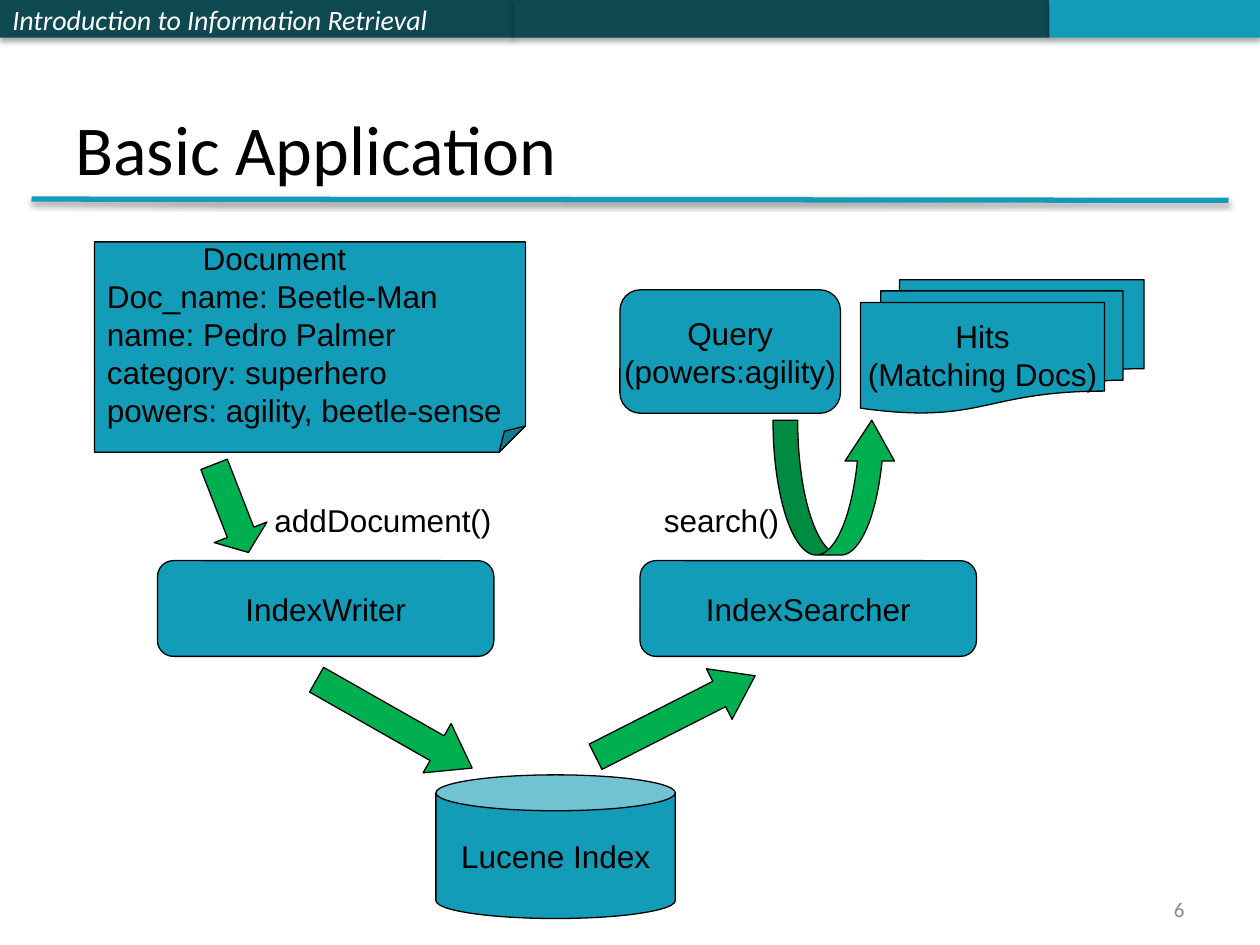
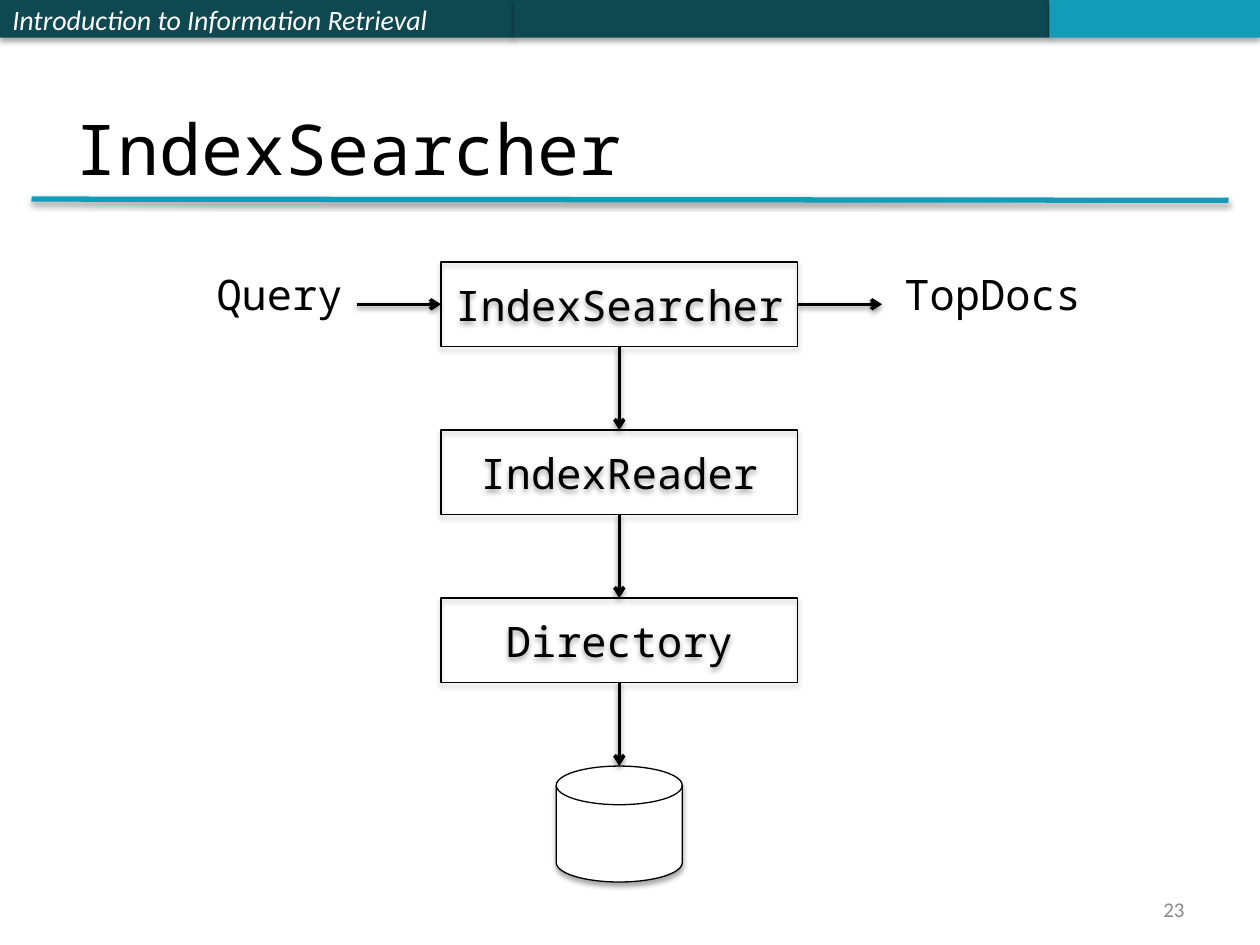
from dataclasses import dataclass
from typing import Optional

from lxml.etree import SubElement
from pptx import Presentation
from pptx.dml.color import RGBColor
from pptx.enum.shapes import MSO_CONNECTOR, MSO_SHAPE
from pptx.enum.text import MSO_ANCHOR, MSO_AUTO_SIZE, PP_ALIGN
from pptx.oxml.ns import qn
from pptx.util import Inches, Pt


@dataclass(frozen=True)
class TextStyle:
    """Font, size and colour of one kind of text."""
    font: str
    size: float
    color: str = "000000"
    italic: bool = False


@dataclass(frozen=True)
class Shadow:
    """Soft shadow falling straight down; lengths in points, alpha in percent."""
    alpha: int
    blur: float
    dist: float


@dataclass(frozen=True)
class Theme:
    """Colours, type and line widths shared by the slides."""
    dark: str = "0E4851"
    teal: str = "139CB7"
    green: str = "00B050"
    white: str = "FFFFFF"
    black: str = "000000"
    outline: float = 0.75
    arrow: float = 2
    rule: float = 3
    header: TextStyle = TextStyle("Calibri", 16, "FFFFFF", True)
    title: TextStyle = TextStyle("Calibri", 40)
    code_title: TextStyle = TextStyle("Noto Sans Mono", 40)
    body: TextStyle = TextStyle("Arial", 18)
    code: TextStyle = TextStyle("Noto Sans Mono", 24)
    number: TextStyle = TextStyle("Calibri", 12, "898989")
    box_shadow: Shadow = Shadow(35, 3.1, 1.8)
    line_shadow: Shadow = Shadow(38, 3.1, 1.6)


@dataclass(frozen=True)
class Node:
    """A preset shape with optional centred text."""
    kind: MSO_SHAPE
    at: tuple
    lines: tuple = ()
    fill: Optional[str] = None
    outline: bool = True
    adj: tuple = ()
    rotation: float = 0
    align: PP_ALIGN = PP_ALIGN.CENTER
    wrap: bool = False
    shadow: Optional[Shadow] = None


@dataclass(frozen=True)
class Label:
    """Free text in a box."""
    at: tuple
    text: str
    style: TextStyle
    align: PP_ALIGN = PP_ALIGN.LEFT
    anchor: MSO_ANCHOR = MSO_ANCHOR.TOP
    wrap: bool = True
    grow: bool = False


THEME = Theme()


def rgb(value: str) -> RGBColor:
    """Turn a hex string into a colour."""
    return RGBColor.from_string(value)


def add_shadow(effects, shadow: Shadow) -> None:
    """Put an outer shadow into an effect list."""
    outer = SubElement(effects, qn("a:outerShdw"), blurRad=str(Pt(shadow.blur)),
                       dist=str(Pt(shadow.dist)), dir="5400000", rotWithShape="0")
    color = SubElement(outer, qn("a:srgbClr"), val=THEME.black)
    SubElement(color, qn("a:alpha"), val=str(shadow.alpha * 1000))


def set_adjustments(sp, values: tuple) -> None:
    """Set shape guides in XML, as the folded corner exposes no adjustments."""
    geometry = sp._element.spPr.find(qn("a:prstGeom"))
    for old in geometry.findall(qn("a:avLst")):
        geometry.remove(old)
    guides = SubElement(geometry, qn("a:avLst"))
    for i, value in enumerate(values, 1):
        name = "adj" if len(values) == 1 else f"adj{i}"
        SubElement(guides, qn("a:gd"), name=name, fmla=f"val {round(value * 100000)}")


def write(tf, lines: tuple, style: TextStyle, align: PP_ALIGN) -> None:
    """Write one paragraph per line in the given style."""
    for i, text in enumerate(lines):
        p = tf.paragraphs[0] if i == 0 else tf.add_paragraph()
        p.alignment = align
        r = p.add_run()
        r.text = text
        values = {"name": style.font, "size": Pt(style.size), "italic": style.italic}
        for name, value in values.items():
            setattr(r.font, name, value)
        r.font.color.rgb = rgb(style.color)


def add_node(slide, node: Node, style: TextStyle):
    """Draw a preset shape and return it."""
    sp = slide.shapes.add_shape(node.kind, *map(Inches, node.at))
    if node.adj:
        set_adjustments(sp, node.adj)
    sp.rotation = node.rotation
    if node.fill:
        sp.fill.solid()
        sp.fill.fore_color.rgb = rgb(node.fill)
    else:
        sp.fill.background()
    if node.outline:
        sp.line.color.rgb = rgb(THEME.black)
        sp.line.width = Pt(THEME.outline)
    else:
        sp.line.fill.background()
    sp.shadow.inherit = False
    if node.shadow:
        add_shadow(sp._element.spPr.find(qn("a:effectLst")), node.shadow)
    tf = sp.text_frame
    tf.word_wrap = node.wrap
    tf.vertical_anchor = MSO_ANCHOR.MIDDLE
    write(tf, node.lines, style, node.align)
    return sp


def add_label(slide, label: Label) -> None:
    """Draw a text box."""
    tf = slide.shapes.add_textbox(*map(Inches, label.at)).text_frame
    values = {
        "word_wrap": label.wrap,
        "vertical_anchor": label.anchor,
        "auto_size": MSO_AUTO_SIZE.SHAPE_TO_FIT_TEXT if label.grow else MSO_AUTO_SIZE.NONE,
    }
    for name, value in values.items():
        setattr(tf, name, value)
    write(tf, (label.text,), label.style, label.align)


def add_line(slide, start: tuple, end: tuple, color: str, width: float,
             arrow: bool = False) -> None:
    """Draw a shadowed line, with an arrowhead at its end if asked."""
    line = slide.shapes.add_connector(MSO_CONNECTOR.STRAIGHT,
                                      *map(Inches, (*start, *end)))
    line.line.color.rgb = rgb(color)
    line.line.width = Pt(width)
    properties = line._element.spPr
    if arrow:
        SubElement(properties.find(qn("a:ln")), qn("a:tailEnd"), type="arrow")
    add_shadow(SubElement(properties, qn("a:effectLst")), THEME.line_shadow)


def add_slide(prs, title: str, style: TextStyle, number: int):
    """Start a slide with header bands, title, rule and page number."""
    slide = prs.slides.add_slide(prs.slide_layouts[6])
    bands = (
        (0, 4.08, THEME.dark, ("Introduction to Information Retrieval",)),
        (4.08, 4.25, THEME.dark, ()),
        (8.33, 1.67, THEME.teal, ()),
    )
    for left, width, fill, lines in bands:
        add_node(slide, Node(MSO_SHAPE.RECTANGLE, (left, 0, width, 0.3), lines, fill,
                             outline=False, align=PP_ALIGN.LEFT, wrap=True,
                             shadow=THEME.box_shadow), THEME.header)
    add_line(slide, (0.25, 1.58), (9.75, 1.59), THEME.teal, THEME.rule)
    add_label(slide, Label((0.5, 0.3, 9, 1.25), title, style, anchor=MSO_ANCHOR.BOTTOM))
    add_label(slide, Label((7.17, 7.08, 2.33, 0.27), str(number), THEME.number,
                           PP_ALIGN.RIGHT, MSO_ANCHOR.MIDDLE))
    return slide


def build_application(prs) -> None:
    """Indexing and searching flow around one index."""
    slide = add_slide(prs, "Basic Application", THEME.title, 6)
    rounded, arrow = MSO_SHAPE.ROUNDED_RECTANGLE, MSO_SHAPE.RIGHT_ARROW
    teal, green = THEME.teal, THEME.green
    nodes = (
        Node(rounded, (1.25, 4.45, 2.67, 0.76), ("IndexWriter",), teal),
        Node(rounded, (5.08, 4.45, 2.67, 0.76), ("IndexSearcher",), teal),
        Node(MSO_SHAPE.CAN, (3.46, 6.15, 1.9, 1.14), ("Lucene Index",), teal),
        Node(arrow, (2.42, 5.52, 1.42, 0.45), (), green, adj=(0.5, 0.71), rotation=29.6),
        Node(arrow, (4.65, 5.46, 1.42, 0.45), (), green, adj=(0.5, 0.71), rotation=333.1),
        Node(arrow, (1.46, 3.81, 0.75, 0.45), (), green, adj=(0.5, 0.38), rotation=68.7),
        Node(MSO_SHAPE.CURVED_RIGHT_ARROW, (6.09, 3.38, 1.07, 0.98), (), green,
             adj=(0.2, 0.4, 0.33), rotation=270),
        Node(MSO_SHAPE.FLOWCHART_MULTIDOCUMENT, (6.83, 2.22, 2.25, 1.06),
             ("Hits", "(Matching Docs)"), teal),
        Node(rounded, (4.92, 2.3, 1.75, 0.98), ("Query", "(powers:agility)"), teal),
    )
    for node in nodes:
        add_node(slide, node, THEME.body)

    fields = ("Document", "Doc_name: Beetle-Man", "name: Pedro Palmer",
              "category: superhero", "powers: agility, beetle-sense")
    document = add_node(slide, Node(MSO_SHAPE.FOLDED_CORNER, (0.75, 1.92, 3.42, 1.67),
                                    fields, teal, adj=(0.125,), align=PP_ALIGN.LEFT,
                                    wrap=True), THEME.body)
    heading = document.text_frame.paragraphs[0]
    heading._p.get_or_add_pPr().set("marL", str(Inches(0.76)))

    for left, width, text in ((2.08, 2.08, "addDocument()"), (5.17, 1.17, "search()")):
        add_label(slide, Label((left, 3.93, width, 0.36), text, THEME.body, grow=True))


def build_searcher(prs) -> None:
    """Layers below the searcher, down to storage."""
    slide = add_slide(prs, "IndexSearcher", THEME.code_title, 23)
    left, top, width, height, pitch = 3.5, 2.08, 2.83, 0.67, 4 / 3
    center, middle = left + width / 2, top + height / 2
    layers = ("IndexSearcher", "IndexReader", "Directory")
    for i, name in enumerate(layers):
        y = top + i * pitch
        add_node(slide, Node(MSO_SHAPE.RECTANGLE, (left, y, width, height), (name,),
                             wrap=True, shadow=THEME.box_shadow), THEME.code)
    add_node(slide, Node(MSO_SHAPE.FLOWCHART_MAGNETIC_DISK,
                         (center - 0.5, top + len(layers) * pitch, 1, 0.92),
                         fill=THEME.white, shadow=THEME.box_shadow), THEME.code)

    down = [((center, top + i * pitch + height), (center, top + (i + 1) * pitch))
            for i in range(len(layers))]
    across = [((x, middle), (x + height, middle)) for x in (left - height, left + width)]
    for start, end in down + across:
        add_line(slide, start, end, THEME.black, THEME.arrow, arrow=True)

    for x, w, text in ((1.62, 1.21, "Query"), (7.08, 1.62, "TopDocs")):
        add_label(slide, Label((x, top, w, 0.5), text, THEME.code, wrap=False, grow=True))


def main() -> None:
    """Build and save the presentation."""
    prs = Presentation()
    prs.slide_width, prs.slide_height = Inches(10), Inches(7.5)
    build_application(prs)
    build_searcher(prs)
    prs.save("out.pptx")


main()
